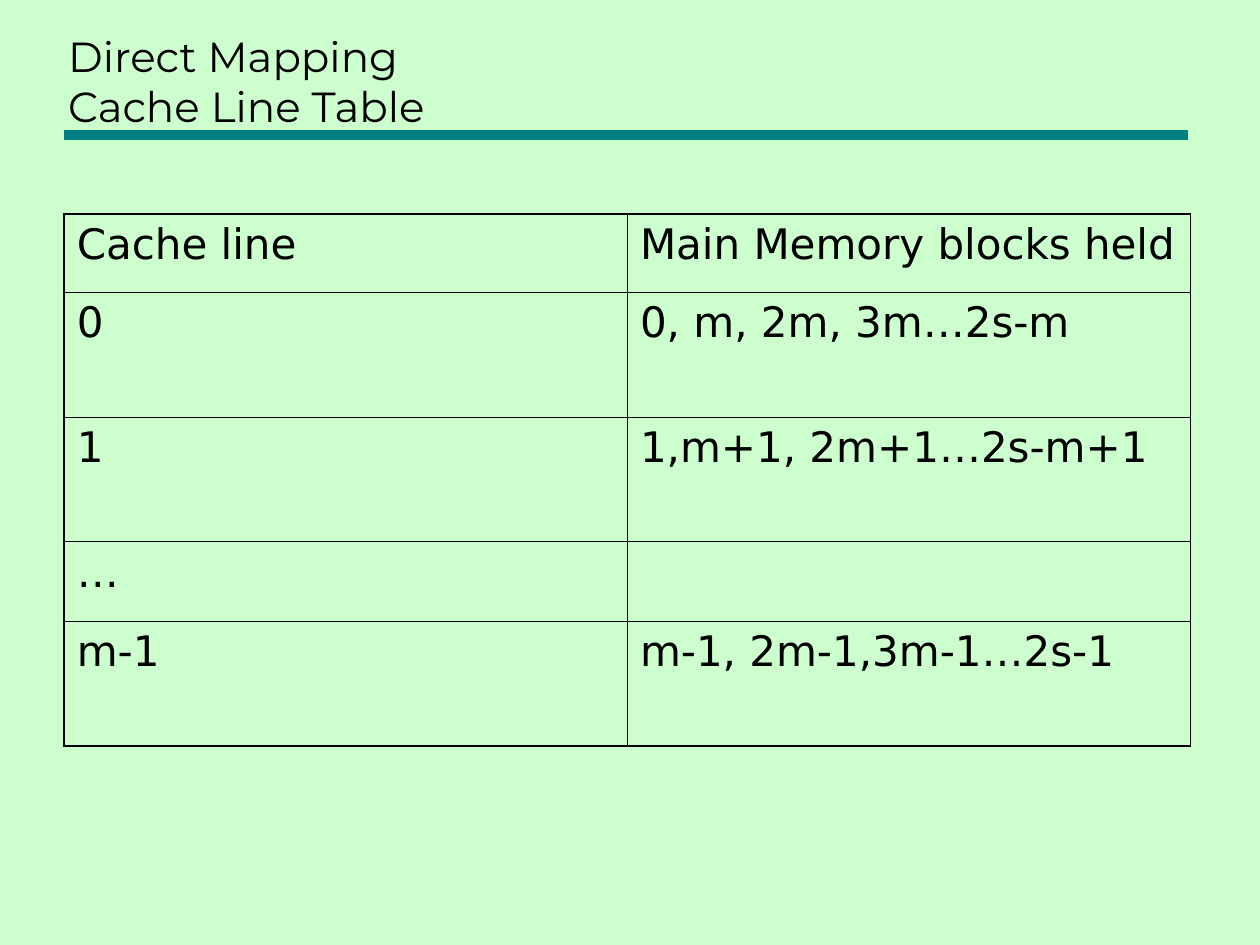
"""Build the direct mapping cache line table slide."""
from lxml.etree import SubElement
from pptx import Presentation
from pptx.dml.color import RGBColor
from pptx.enum.shapes import MSO_CONNECTOR
from pptx.enum.text import MSO_ANCHOR, MSO_AUTO_SIZE, PP_ALIGN
from pptx.oxml.ns import qn
from pptx.util import Pt

BACKGROUND = RGBColor(0xCD, 0xFF, 0xCE)
TEAL = RGBColor(0x00, 0x80, 0x80)
BLACK = RGBColor(0x00, 0x00, 0x00)

ROWS = [
    ("Cache line", "Main Memory blocks held"),
    ("0", "0, m, 2m, 3m…2s-m"),
    ("1", "1,m+1, 2m+1…2s-m+1"),
    ("…", ""),
    ("m-1", "m-1, 2m-1,3m-1…2s-1"),
]
ROW_HEIGHTS = [44.64, 71.28, 71.28, 45.36, 71.28]
COLUMN_WIDTH = 321.84
OUTER, INNER = 1.08, 0.45


def write(tf, text, font="DejaVu Sans", size=24, color=BLACK):
    """Put left-aligned formatted text in a text frame."""
    tf.text = text
    p = tf.paragraphs[0]
    p.alignment = PP_ALIGN.LEFT
    p.space_before = Pt(0)
    for f in [p.font] + [r.font for r in p.runs]:
        f.name, f.size, f.color.rgb = font, Pt(size), color


def add_title(slide, text):
    """Place and format the title placeholder."""
    s = slide.shapes.title
    s.left, s.top, s.width, s.height = Pt(31.68), Pt(12.24), Pt(645.84), Pt(66.24)
    tf = s.text_frame
    tf.word_wrap = True
    tf.auto_size = MSO_AUTO_SIZE.NONE
    tf.vertical_anchor = MSO_ANCHOR.BOTTOM
    write(tf, text, font="Montserrat")


def add_rule(slide, x1, x2, y):
    """Draw the thick horizontal line under the title."""
    s = slide.shapes.add_connector(MSO_CONNECTOR.STRAIGHT, Pt(x1), Pt(y), Pt(x2), Pt(y))
    s.line.color.rgb = TEAL
    s.line.width = Pt(6)
    SubElement(s._element.spPr, qn("a:effectLst"))


def set_border(cell, side, width):
    """Draw one black border of a cell."""
    tc_pr = cell._tc.get_or_add_tcPr()
    ln = SubElement(tc_pr, qn(f"a:ln{side}"), w=str(Pt(width)))
    fill = SubElement(ln, qn("a:solidFill"))
    SubElement(fill, qn("a:srgbClr"), val=str(BLACK))


def add_table(slide, rows, x, y):
    """Add the table with heavier outer borders."""
    n_rows, n_cols = len(rows), len(rows[0])
    table = slide.shapes.add_table(n_rows, n_cols, Pt(x), Pt(y),
                                   Pt(COLUMN_WIDTH * n_cols), Pt(sum(ROW_HEIGHTS))).table
    table.first_row = table.horz_banding = False
    for column in table.columns:
        column.width = Pt(COLUMN_WIDTH)
    for i, (row, height) in enumerate(zip(rows, ROW_HEIGHTS)):
        table.rows[i].height = Pt(height)
        for j, text in enumerate(row):
            cell = table.cell(i, j)
            write(cell.text_frame, text)
            edges = {"L": j == 0, "R": j == n_cols - 1, "T": i == 0, "B": i == n_rows - 1}
            for side, is_outer in edges.items():
                set_border(cell, side, OUTER if is_outer else INNER)
            cell.fill.background()


def main():
    """Build and save the slide."""
    prs = Presentation()
    prs.slide_width, prs.slide_height = Pt(720), Pt(540)
    slide = prs.slides.add_slide(prs.slide_layouts[5])
    slide.background.fill.solid()
    slide.background.fill.fore_color.rgb = BACKGROUND
    add_rule(slide, 36.72, 678.96, 77.04)
    add_title(slide, "Direct Mapping\vCache Line Table")
    add_table(slide, ROWS, 36.72, 122.4)
    prs.save("out.pptx")


if __name__ == "__main__":
    main()
